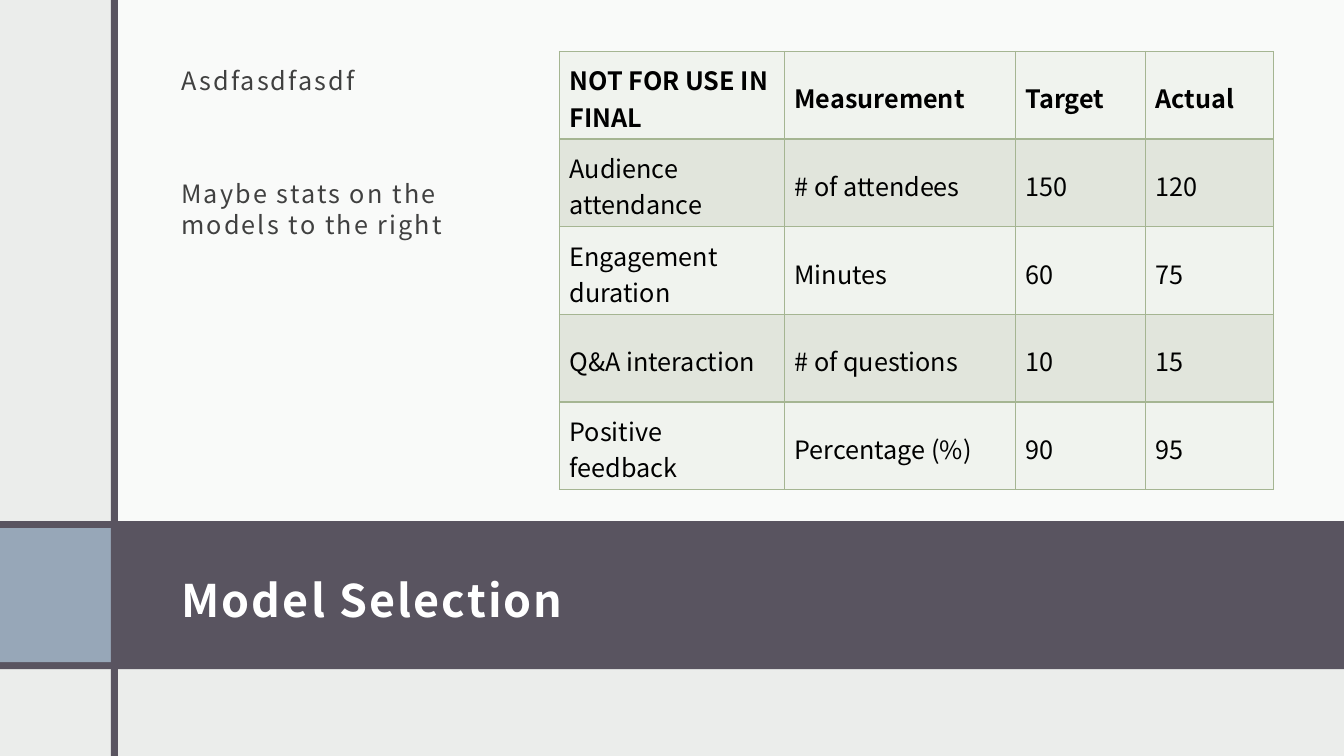
from lxml import etree
from pptx import Presentation
from pptx import util as u
from pptx.dml.color import RGBColor
from pptx.enum import shapes, text
from pptx.oxml import ns

COLORS = {
    "background": "EBEDEB", "panel": "FFFFFF", "band": "595460",
    "accent": "97A7B8", "title": "FFFFFF", "body": "404040",
    "cell_text": "000000", "border": "A5B592",
    "light_row": "F0F3EE", "dark_row": "E1E5DC",
}
FONT = "Noto Sans CJK JP"
WIDTH, HEIGHT = 13.33, 7.5
BAR = 0.07

COLUMN_WIDTHS = [2.23, 2.29, 1.29, 1.27]
ROW_HEIGHT = 0.87
ROWS = [
    ["NOT FOR USE IN FINAL", "Measurement", "Target", "Actual"],
    ["Audience attendance", "# of attendees", "150", "120"],
    ["Engagement duration", "Minutes", "60", "75"],
    ["Q&A interaction", "# of questions", "10", "15"],
    ["Positive feedback", "Percentage (%)", "90", "95"],
]


def rgb(name):
    return RGBColor.from_string(COLORS[name])


def add_run(paragraph, wording, size, color, bold=False, tracking=0):
    """Add a run; tracking is the letter spacing in points."""
    run = paragraph.add_run()
    run.text = wording
    run.font.name = FONT
    run.font.size = u.Pt(size)
    run.font.bold = bold
    run.font.color.rgb = rgb(color)
    if tracking:
        run._r.get_or_add_rPr().set("spc", str(int(tracking * 100)))


def set_margins(holder, left, top, right, bottom):
    holder.margin_left, holder.margin_top = u.Inches(left), u.Inches(top)
    holder.margin_right, holder.margin_bottom = u.Inches(right), u.Inches(bottom)


def add_block(slide, box, color, opacity=100):
    shape = slide.shapes.add_shape(
        shapes.MSO_SHAPE.RECTANGLE, *[u.Inches(length) for length in box])
    shape.shadow.inherit = False
    shape.fill.solid()
    shape.fill.fore_color.rgb = rgb(color)
    shape.line.fill.background()
    if opacity < 100:
        tint = shape.element.spPr.find(".//" + ns.qn("a:srgbClr"))
        etree.SubElement(tint, ns.qn("a:alpha"), val=str(opacity * 1000))


def add_backdrop(slide, bar_left, band_top, band_height):
    """Draw the pale panel, the title band and the upright bar."""
    slide.background.fill.solid()
    slide.background.fill.fore_color.rgb = rgb("background")
    panel_left = bar_left + BAR / 2
    add_block(slide, (panel_left, 0, WIDTH - panel_left, band_top), "panel", 75)
    add_block(slide, (0, band_top, WIDTH, band_height), "band")
    add_block(slide, (0, band_top + BAR, bar_left, band_height - 2 * BAR), "accent")
    add_block(slide, (bar_left, 0, BAR, HEIGHT), "band")


def place_title(slide, box, wording):
    title = slide.shapes.title
    title.left, title.top, title.width, title.height = [
        u.Inches(length) for length in box]
    title.element.getparent().append(title.element)  # in front of the band
    frame = title.text_frame
    frame.word_wrap = True
    frame.auto_size = text.MSO_AUTO_SIZE.NONE
    frame.vertical_anchor = text.MSO_ANCHOR.MIDDLE
    set_margins(frame, 0.12, 0.2, 0.12, 0.1)
    paragraph = frame.paragraphs[0]
    paragraph.alignment = text.PP_ALIGN.LEFT
    add_run(paragraph, wording, 32, "title", bold=True, tracking=1.5)


def add_notes_column(slide, box, wordings):
    frame = slide.shapes.add_textbox(
        *[u.Inches(length) for length in box]).text_frame
    frame.word_wrap = True
    set_margins(frame, 0.12, 0.12, 0.12, 0.1)
    for index, wording in enumerate(wordings):
        paragraph = frame.add_paragraph() if index else frame.paragraphs[0]
        paragraph.line_spacing = 1.05
        paragraph.space_before = u.Pt(52 if index else 0)
        paragraph.space_after = u.Pt(6)
        add_run(paragraph, wording, 18, "body", tracking=1.5)


def add_borders(cell):
    properties = cell._tc.get_or_add_tcPr()
    for index, side in enumerate(("lnL", "lnR", "lnT", "lnB")):
        line = etree.Element(ns.qn("a:" + side), w=str(u.Pt(1)))
        fill = etree.SubElement(line, ns.qn("a:solidFill"))
        etree.SubElement(fill, ns.qn("a:srgbClr"), val=COLORS["border"])
        properties.insert(index, line)


def add_metrics_table(slide, left, top):
    table = slide.shapes.add_table(
        len(ROWS), len(COLUMN_WIDTHS), u.Inches(left), u.Inches(top),
        u.Inches(sum(COLUMN_WIDTHS)), u.Inches(ROW_HEIGHT * len(ROWS))).table
    table.horz_banding = False
    for column, width in zip(table.columns, COLUMN_WIDTHS):
        column.width = u.Inches(width)
    for row_index, wordings in enumerate(ROWS):
        table.rows[row_index].height = u.Inches(ROW_HEIGHT)
        for column_index, wording in enumerate(wordings):
            cell = table.cell(row_index, column_index)
            cell.fill.solid()
            cell.fill.fore_color.rgb = rgb(
                "dark_row" if row_index % 2 else "light_row")
            cell.vertical_anchor = text.MSO_ANCHOR.MIDDLE
            set_margins(cell, 0.1, 0.1, 0.1, 0.05)
            add_run(cell.text_frame.paragraphs[0], wording, 18, "cell_text",
                    bold=row_index == 0)
            add_borders(cell)


def main():
    presentation = Presentation()
    presentation.slide_width = u.Inches(WIDTH)
    presentation.slide_height = u.Inches(HEIGHT)
    slide = presentation.slides.add_slide(presentation.slide_layouts[5])
    add_backdrop(slide, bar_left=1.1, band_top=5.17, band_height=1.47)
    place_title(slide, (1.68, 5.33, 10.95, 1.13), "Model Selection")
    add_notes_column(slide, (1.68, 0.51, 3.39, 4.23),
                     ["Asdfasdfasdf", "Maybe stats on the models to the right"])
    add_metrics_table(slide, 5.55, 0.51)
    presentation.save("out.pptx")


if __name__ == "__main__":
    main()
